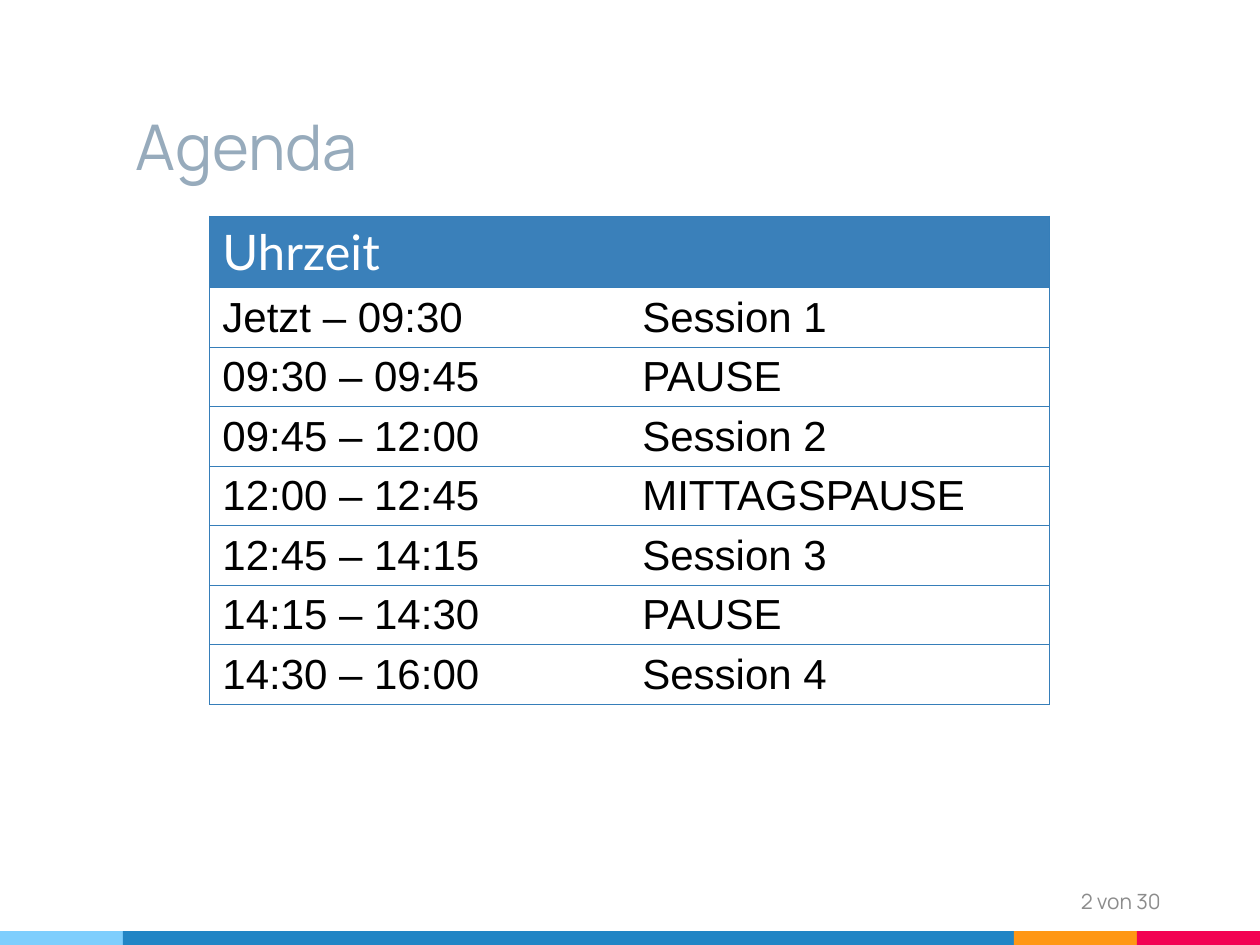
from lxml import etree
from pptx import Presentation
from pptx.dml.color import RGBColor
from pptx.enum import shapes, text
from pptx.oxml.ns import qn
from pptx.util import Cm, Pt

BLUE = "367EB9"
AGENDA = [
    ("Uhrzeit", ""),
    ("Jetzt – 09:30", "Session 1"),
    ("09:30 – 09:45", "PAUSE"),
    ("09:45 – 12:00", "Session 2"),
    ("12:00 – 12:45", "MITTAGSPAUSE"),
    ("12:45 – 14:15", "Session 3"),
    ("14:15 – 14:30", "PAUSE"),
    ("14:30 – 16:00", "Session 4"),
]


def rgb(value):
    return RGBColor.from_string(value)


def write(tf, content, font, size, color, align=text.PP_ALIGN.LEFT):
    tf.text = content
    p = tf.paragraphs[0]
    p.alignment = align
    for r in p.runs:
        r.font.name = font
        r.font.size = Pt(size)
        r.font.bold = False
        r.font.color.rgb = rgb(color)


def add_title(slide, left, top, width, height):
    sp = slide.shapes.title
    sp.left, sp.top, sp.width, sp.height = Cm(left), Cm(top), Cm(width), Cm(height)
    tf = sp.text_frame
    tf.auto_size = text.MSO_AUTO_SIZE.NONE
    tf.vertical_anchor = text.MSO_ANCHOR.BOTTOM
    tf.margin_left = tf.margin_right = tf.margin_top = tf.margin_bottom = Cm(0.25)
    write(tf, "Agenda", "Manrope", 36, "97ABBC")


def set_borders(cell, sides):
    """Draw the named sides (out of L, R, T, B) and blank the others."""
    tcPr = cell._tc.get_or_add_tcPr()
    for side in "LRTB":
        ln = etree.SubElement(tcPr, qn(f"a:ln{side}"), w=str(Pt(0.75)))
        if side in sides:
            fill = etree.SubElement(ln, qn("a:solidFill"))
            etree.SubElement(fill, qn("a:srgbClr"), val=BLUE)
        else:
            etree.SubElement(ln, qn("a:noFill"))


def add_agenda(slide, left, top, width, header_height, row_height):
    height = header_height + row_height * (len(AGENDA) - 1)
    table = slide.shapes.add_table(
        len(AGENDA), 2, Cm(left), Cm(top), Cm(width), Cm(height)).table
    table.horz_banding = False
    for i, entries in enumerate(AGENDA):
        header = i == 0
        table.rows[i].height = Cm(header_height if header else row_height)
        for j, entry in enumerate(entries):
            cell = table.cell(i, j)
            set_borders(cell, "LTB" if j == 0 else "RTB")
            if header:
                cell.fill.solid()
                cell.fill.fore_color.rgb = rgb("3A80BA")
                write(cell.text_frame, entry, "Lato", 28, "FFFFFF")
            else:
                cell.fill.background()
                write(cell.text_frame, entry, "Arial", 24, "000000")


def add_page_number(slide, left, top, width, height):
    sp = slide.shapes.add_textbox(Cm(left), Cm(top), Cm(width), Cm(height))
    tf = sp.text_frame
    tf.word_wrap = True
    tf.vertical_anchor = text.MSO_ANCHOR.MIDDLE
    write(tf, "2 von 30", "Manrope", 12, "8C8C8C", text.PP_ALIGN.RIGHT)


def add_color_bar(slide, left, top, width, height):
    short = 2.48
    segments = [("7ECEFD", short), ("2185C5", width - 3 * short),
                ("FF9715", short), ("F20253", short)]
    for color, length in segments:
        sp = slide.shapes.add_shape(
            shapes.MSO_SHAPE.RECTANGLE, Cm(left), Cm(top), Cm(length), Cm(height))
        sp.shadow.inherit = False
        sp.fill.solid()
        sp.fill.fore_color.rgb = rgb(color)
        sp.line.fill.background()
        left += length


def main():
    prs = Presentation()
    prs.slide_width, prs.slide_height = Cm(25.4), Cm(19.05)
    slide = prs.slides.add_slide(prs.slide_layouts[5])
    add_color_bar(slide, 0, 18.77, 25.4, 0.28)
    add_title(slide, 2.48, 0.76, 17.96, 3.18)
    add_agenda(slide, 4.23, 4.36, 16.93, 1.44, 1.2)
    add_page_number(slide, 17.93, 17.65, 5.72, 1.02)
    prs.save("out.pptx")


if __name__ == "__main__":
    main()
